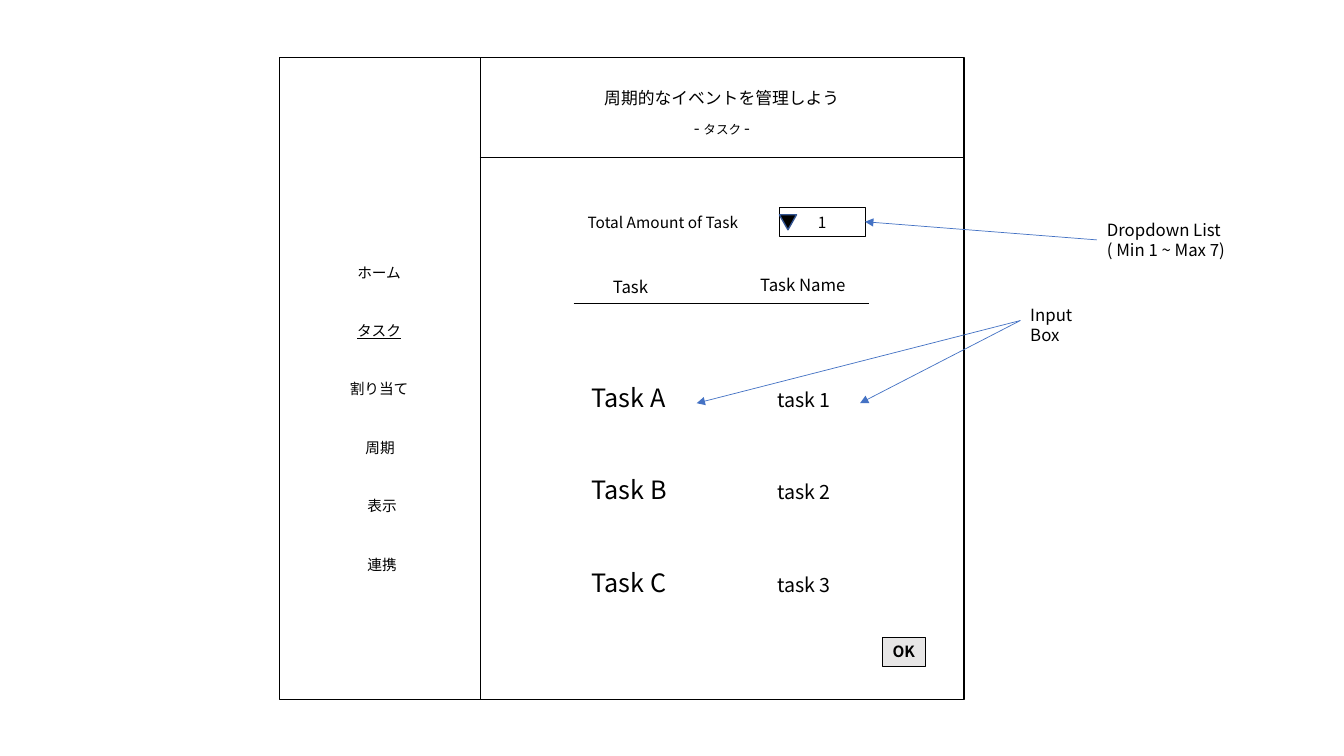
from typing import NamedTuple

from lxml import etree
from pptx import Presentation
from pptx.dml.color import RGBColor
from pptx.enum.shapes import MSO_CONNECTOR, MSO_SHAPE
from pptx.enum.text import MSO_ANCHOR, PP_ALIGN
from pptx.oxml.ns import qn
from pptx.util import Inches, Pt

FONT = "Noto Sans CJK JP"
BLACK = RGBColor(0x00, 0x00, 0x00)
GRAY = RGBColor(0xE7, 0xE6, 0xE6)
BLUE = RGBColor(0x44, 0x72, 0xC4)
DARK_BLUE = RGBColor(0x32, 0x54, 0x91)
LEFT, CENTER = PP_ALIGN.LEFT, PP_ALIGN.CENTER


class Box(NamedTuple):
    x: float
    y: float
    w: float
    h: float


class Run(NamedTuple):
    text: str
    size: float


class MenuItem(NamedTuple):
    text: str
    center: float
    active: bool = False


class TaskRow(NamedTuple):
    task: str
    name: str


class Line(NamedTuple):
    start: tuple[float, float]
    end: tuple[float, float]
    color: RGBColor = BLACK
    arrow: bool = False


prs = Presentation()
prs.slide_width, prs.slide_height = Inches(13.33), Inches(7.5)
s = prs.slides.add_slide(prs.slide_layouts[6])


def write(sp, *paragraphs: list[Run], align=LEFT, wrap=False, bold=False,
          underline=False, spacing=(1.0,)) -> None:
    """Fill a shape with paragraphs; spacing repeats over them."""
    tf = sp.text_frame
    tf.word_wrap = wrap
    tf.vertical_anchor = MSO_ANCHOR.MIDDLE
    for i, runs in enumerate(paragraphs):
        p = tf.paragraphs[0] if i == 0 else tf.add_paragraph()
        p.alignment = align
        p.line_spacing = spacing[i % len(spacing)]
        for text, size in runs:
            r = p.add_run()
            r.text = text
            f = r.font
            f.name, f.size, f.bold, f.underline = FONT, Pt(size), bold, underline
            f.color.rgb = BLACK
            etree.SubElement(r.font._element, qn("a:ea"), typeface=FONT)


def add_text(box: Box, *paragraphs: list[Run], **fmt) -> None:
    write(s.shapes.add_textbox(*map(Inches, box)), *paragraphs, **fmt)


def add_shape(kind: MSO_SHAPE, box: Box, width: float, fill=None, line=BLACK):
    sp = s.shapes.add_shape(kind, *map(Inches, box))
    sp.shadow.inherit = False
    if fill is None:
        sp.fill.background()
    else:
        sp.fill.solid()
        sp.fill.fore_color.rgb = fill
    sp.line.color.rgb, sp.line.width = line, Pt(width)
    return sp


def add_line(line: Line) -> None:
    c = s.shapes.add_connector(MSO_CONNECTOR.STRAIGHT,
                               *map(Inches, line.start + line.end))
    c.line.color.rgb, c.line.width = line.color, Pt(0.5)
    if line.arrow:
        etree.SubElement(c.line._get_or_add_ln(), qn("a:tailEnd"), type="triangle")
    etree.SubElement(c._element.spPr, qn("a:effectLst"))


# Window frame, dividers and table rule
add_shape(MSO_SHAPE.RECTANGLE, Box(2.77, 0.57, 6.79, 6.37), 1)
for divider in (Line((4.76, 0.57), (4.76, 6.93)),
                Line((4.76, 1.56), (9.55, 1.56)),
                Line((5.69, 3.01), (8.62, 3.01))):
    add_line(divider)

# Header
add_text(Box(5.88, 0.83, 2.56, 0.58),
         [Run("周期的なイベントを管理しよう", 12)],
         [Run("- ", 12), Run("タスク ", 9), Run("-", 12)],
         align=CENTER, spacing=(1.0, 1.5))

# Side menu
MENU = [MenuItem("ホーム", 3.76), MenuItem("タスク", 3.76, True),
        MenuItem("割り当て", 3.76), MenuItem("周期", 3.77),
        MenuItem("表示", 3.79), MenuItem("連携", 3.79)]
for i, item in enumerate(MENU):
    add_text(Box(item.center - 0.58, 2.56 + 0.58 * i, 1.16, 0.28),
             [Run(item.text, 10.5)], align=CENTER, wrap=True,
             underline=item.active)

# Task count with dropdown
add_text(Box(5.73, 2.06, 1.73, 0.29), [Run("Total Amount of Task", 11)])
dropdown = add_shape(MSO_SHAPE.RECTANGLE, Box(7.73, 2.06, 0.85, 0.29), 0.75)
write(dropdown, [Run("1", 11)], align=CENTER, wrap=True)
marker = add_shape(MSO_SHAPE.ISOSCELES_TRIANGLE, Box(7.73, 2.13, 0.17, 0.15),
                   1, BLACK, DARK_BLUE)
marker.rotation = 180

# Task list
add_text(Box(5.98, 2.7, 0.58, 0.3), [Run("Task", 12)])
add_text(Box(7.44, 2.68, 1.09, 0.3), [Run("Task Name", 12)])
ROWS = [TaskRow("Task A", "task 1"), TaskRow("Task B", "task 2"),
        TaskRow("Task C", "task 3")]
for i, row in enumerate(ROWS):
    y = 3.74 + 0.92 * i
    add_text(Box(5.77, y, 1.01, 0.4), [Run(row.task, 18)])
    add_text(Box(7.61, y + 0.05, 0.75, 0.34), [Run(row.name, 14)])

# OK button
ok = add_shape(MSO_SHAPE.RECTANGLE, Box(8.75, 6.32, 0.43, 0.29), 0.75, GRAY)
write(ok, [Run("OK", 11)], align=CENTER, bold=True)

# Notes beside the window
add_text(Box(10.88, 2.13, 1.5, 0.5), [Run("Dropdown List", 12)],
         [Run("( Min 1 ~ Max 7)", 12)])
add_text(Box(10.12, 3.07, 0.94, 0.3), [Run("Input Box", 12)])
for start, end in (((10.88, 2.38), (8.58, 2.2)),
                   ((10.12, 3.18), (6.91, 4)),
                   ((10.12, 3.18), (8.53, 4))):
    add_line(Line(start, end, BLUE, arrow=True))

prs.save("out.pptx")
